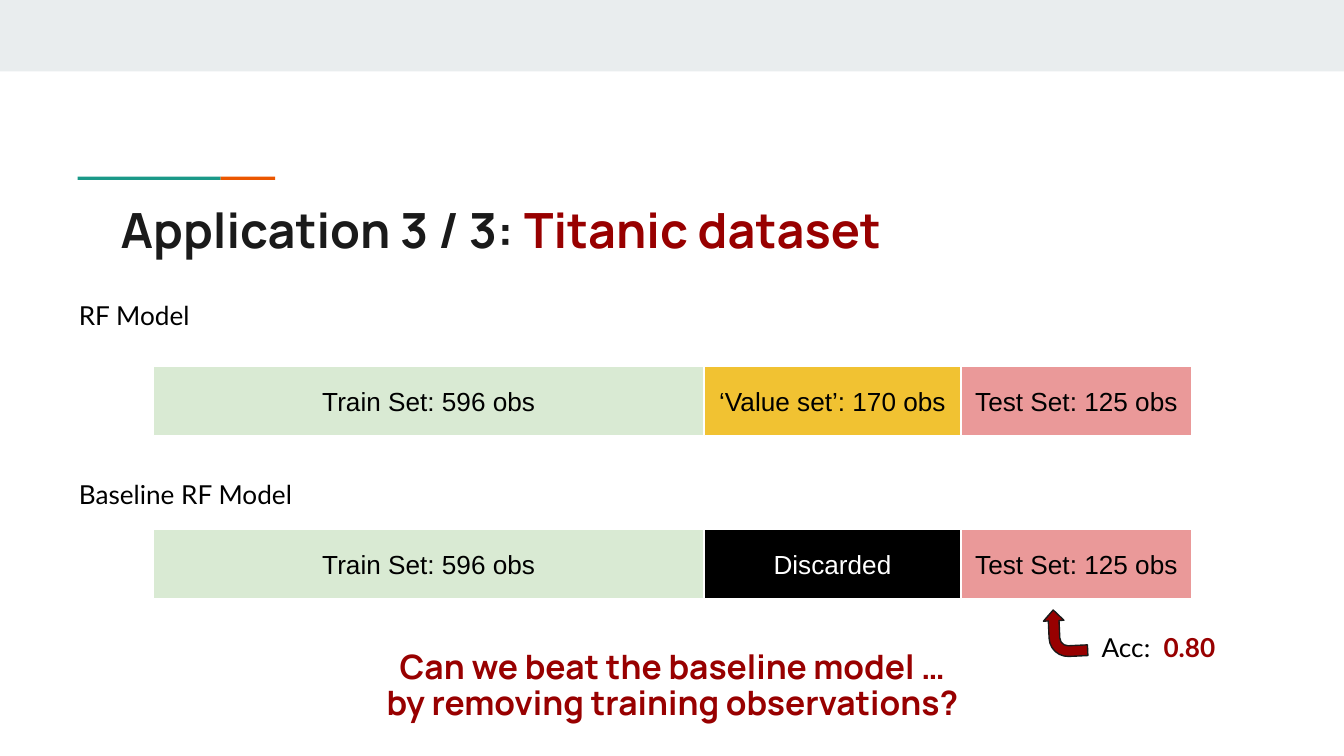
from lxml import etree
from pptx import Presentation
from pptx.dml.color import RGBColor
from pptx.enum.shapes import MSO_SHAPE
from pptx.enum.text import MSO_ANCHOR, MSO_AUTO_SIZE, PP_ALIGN
from pptx.oxml.ns import qn
from pptx.util import Cm, Pt

BLACK = RGBColor(0x00, 0x00, 0x00)
WHITE = RGBColor(0xFF, 0xFF, 0xFF)
INK = RGBColor(0x1A, 0x1A, 0x1A)
DARK_RED = RGBColor(0x98, 0x00, 0x00)
BAND_GREY = RGBColor(0xE9, 0xED, 0xEE)
TEAL = RGBColor(0x1A, 0x99, 0x88)
ORANGE = RGBColor(0xEB, 0x56, 0x00)
GREEN = RGBColor(0xD9, 0xEA, 0xD3)
YELLOW = RGBColor(0xF1, 0xC2, 0x32)
PINK = RGBColor(0xEA, 0x99, 0x99)

TITLE = [("Application 3 / 3: ", INK), ("Titanic dataset", DARK_RED)]
QUESTION = ["Can we beat the baseline model …", "by removing training observations?"]
ACCURACY = ("Acc:", "0.80")

TRAIN = ("Train Set: 596 obs", GREEN, BLACK)
VALUE = ("‘Value set’: 170 obs", YELLOW, BLACK)
DISCARDED = ("Discarded", BLACK, WHITE)
TEST = ("Test Set: 125 obs", PINK, BLACK)
# label, label top, label width, bar top, parts of the bar
MODELS = [
    ("RF Model", 5.41, 3.71, 6.93, [TRAIN, VALUE, TEST]),
    ("Baseline RF Model", 8.79, 5.18, 10.01, [TRAIN, DISCARDED, TEST]),
]
PART_WIDTHS = [10.41, 4.85, 4.37]
BAR_LEFT, BAR_HEIGHT = 2.9, 1.3
LABEL_LEFT, LABEL_HEIGHT = 1.24, 1.17
ACCENTS = [(1.47, 2.7, TEAL), (4.17, 1.03, ORANGE)]
HEADING_BOX = (2.03, 21.36, 1.5)  # left, width, height
INSET = Cm(0.25)


def prepare(frame, anchor=MSO_ANCHOR.TOP):
    frame.word_wrap = True
    frame.auto_size = MSO_AUTO_SIZE.NONE
    frame.vertical_anchor = anchor
    frame.margin_left = frame.margin_right = INSET
    frame.margin_top = frame.margin_bottom = INSET
    return frame


def set_font(font, name, size, color, bold=False):
    font.name, font.size, font.bold = name, Pt(size), bold
    font.color.rgb = color


def add_box(slide, preset, left, top, width, height, fill, line=None):
    box = slide.shapes.add_shape(preset, Cm(left), Cm(top), Cm(width), Cm(height))
    box.shadow.inherit = False
    box.fill.solid()
    box.fill.fore_color.rgb = fill
    if line is None:
        box.line.fill.background()
    else:
        box.line.color.rgb = line
        box.line.width = Pt(0.75)
    return box


def add_text(slide, left, top, width, height):
    box = slide.shapes.add_textbox(Cm(left), Cm(top), Cm(width), Cm(height))
    return prepare(box.text_frame)


def add_title(slide):
    left, width, height = HEADING_BOX
    title = slide.shapes.title
    title.left, title.top = Cm(left), Cm(3.66)
    title.width, title.height = Cm(width), Cm(height)
    paragraph = prepare(title.text_frame).paragraphs[0]
    paragraph.alignment = PP_ALIGN.LEFT
    paragraph.line_spacing = 0.9
    for words, color in TITLE:
        run = paragraph.add_run()
        run.text = words
        set_font(run.font, "Manrope", 26, color, bold=True)


def add_model(slide, label, label_top, label_width, bar_top, parts):
    frame = add_text(slide, LABEL_LEFT, label_top, label_width, LABEL_HEIGHT)
    frame.text = label
    set_font(frame.paragraphs[0].font, "Lato", 14, BLACK)
    for i, (words, fill, color) in enumerate(parts):
        left = BAR_LEFT + sum(PART_WIDTHS[:i])
        part = add_box(slide, MSO_SHAPE.RECTANGLE, left, bar_top,
                       PART_WIDTHS[i], BAR_HEIGHT, fill, WHITE)
        frame = prepare(part.text_frame, MSO_ANCHOR.MIDDLE)
        frame.text = words
        frame.paragraphs[0].alignment = PP_ALIGN.CENTER
        set_font(frame.paragraphs[0].font, "Arial", 14, color)


def add_accuracy(slide):
    arrow = add_box(slide, MSO_SHAPE.BENT_ARROW, 19.69, 11.56, 0.89, 0.81, DARK_RED, INK)
    arrow.rotation = 267.4
    for i, value in enumerate((0.25, 0.24, 0.25, 0.44)):
        arrow.adjustments[i] = value

    paragraph = add_text(slide, 20.57, 11.68, 3.71, LABEL_HEIGHT).paragraphs[0]
    tabs = etree.SubElement(paragraph._p.get_or_add_pPr(), qn("a:tabLst"))
    etree.SubElement(tabs, qn("a:tab"), pos=str(Cm(1.17)), algn="l")
    label, value = ACCURACY
    for words, color, bold in ((label + "\t", BLACK, False), (value, DARK_RED, True)):
        run = paragraph.add_run()
        run.text = words
        set_font(run.font, "Lato", 14, color, bold)


def add_question(slide):
    left, width, height = HEADING_BOX
    frame = add_text(slide, left, 12.04, width, height)
    frame.text = "\n".join(QUESTION)
    for paragraph in frame.paragraphs:
        paragraph.alignment = PP_ALIGN.CENTER
        paragraph.line_spacing = 0.9
        set_font(paragraph.font, "Manrope", 18, DARK_RED, bold=True)


def main():
    deck = Presentation()
    deck.slide_width, deck.slide_height = Cm(25.4), Cm(14.29)
    slide = deck.slides.add_slide(deck.slide_layouts[5])

    add_box(slide, MSO_SHAPE.RECTANGLE, 0, 0, 25.4, 1.35, BAND_GREY)
    for left, width, color in ACCENTS:
        add_box(slide, MSO_SHAPE.RECTANGLE, left, 3.34, width, 0.06, color)
    add_title(slide)
    for model in MODELS:
        add_model(slide, *model)
    add_accuracy(slide)
    add_question(slide)
    deck.save("out.pptx")


if __name__ == "__main__":
    main()
